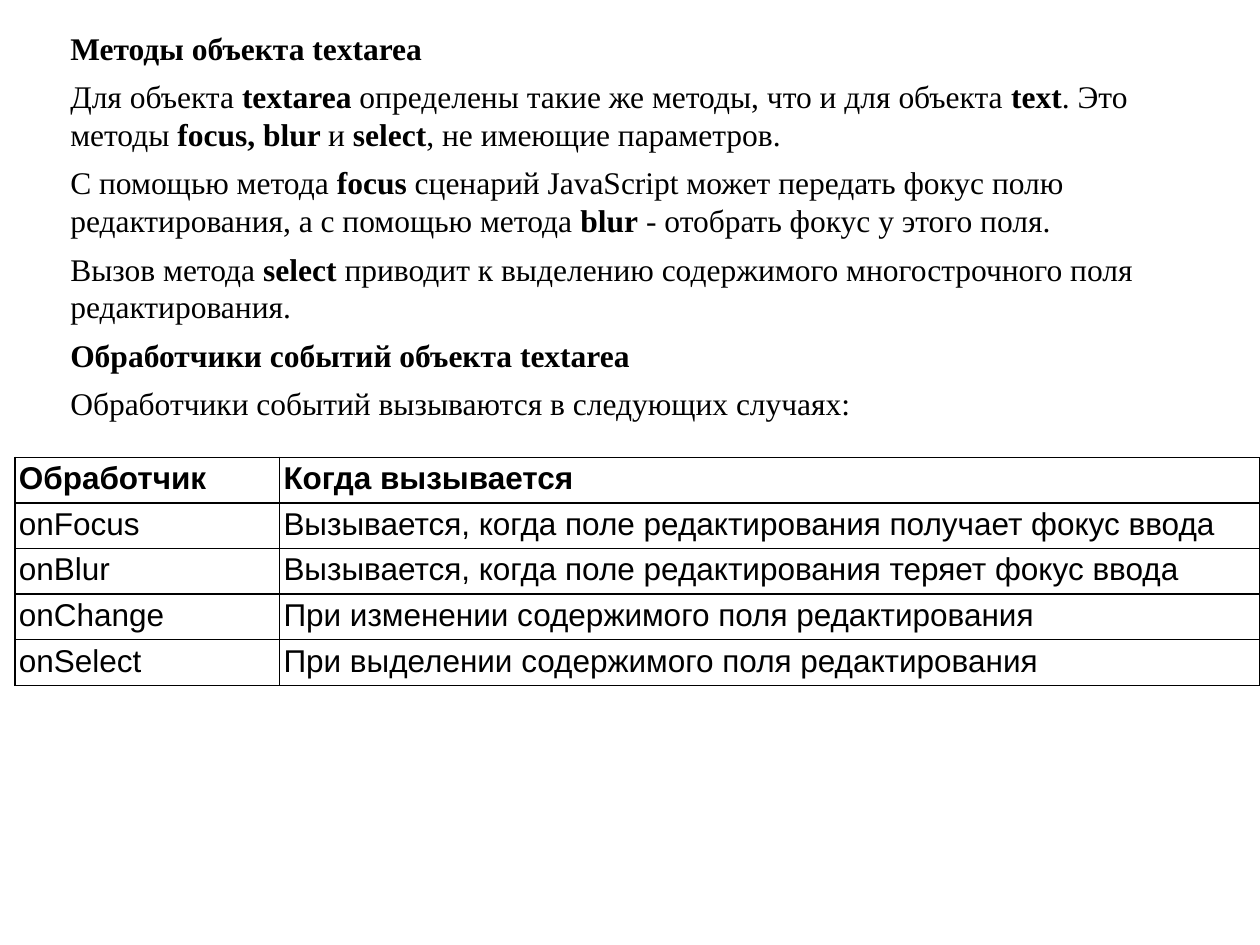
from lxml import etree
from pptx import Presentation
from pptx.dml.color import RGBColor
from pptx.enum.text import MSO_ANCHOR
from pptx.oxml.ns import qn
from pptx.util import Inches, Pt

BLACK = "000000"


def add_runs(p, text, font):
    """Add text to a paragraph; parts between asterisks are bold."""
    for i, part in enumerate(text.split("*")):
        if part:
            r = p.add_run()
            r.text = part
            r.font.name, r.font.size, r.font.bold = font, Pt(18), i % 2 == 1
            r.font.color.rgb = RGBColor.from_string(BLACK)


def add_borders(cell):
    tcPr = cell._tc.get_or_add_tcPr()
    for i, side in enumerate(("a:lnL", "a:lnR", "a:lnT", "a:lnB")):
        ln = etree.Element(qn(side), w=str(Pt(1)))
        fill = etree.SubElement(ln, qn("a:solidFill"))
        etree.SubElement(fill, qn("a:srgbClr"), val=BLACK)
        tcPr.insert(i, ln)


prs = Presentation()
prs.slide_width, prs.slide_height = Inches(10), Inches(7.5)
s = prs.slides.add_slide(prs.slide_layouts[6])

# Table of event handlers
rows = [
    ("*Обработчик*", "*Когда вызывается*"),
    ("onFocus", "Вызывается, когда поле редактирования получает фокус ввода"),
    ("onBlur", "Вызывается, когда поле редактирования теряет фокус ввода"),
    ("onChange", "При изменении содержимого поля редактирования"),
    ("onSelect", "При выделении содержимого поля редактирования"),
]
table = s.shapes.add_table(len(rows), 2, Inches(0.12), Inches(3.63),
                           Inches(9.88), Inches(1.81)).table
table.first_row = table.horz_banding = False
for column, width in zip(table.columns, (2.1, 7.78)):
    column.width = Inches(width)

cell_format = {f"margin_{side}": Inches(0.03)
               for side in ("left", "right", "top", "bottom")}
for i, row in enumerate(rows):
    for j, text in enumerate(row):
        cell = table.cell(i, j)
        for name, value in cell_format.items():
            setattr(cell, name, value)
        cell.fill.background()
        add_borders(cell)
        add_runs(cell.text_frame.paragraphs[0], text, "Arial")

# Description of the methods
paragraphs = [
    "*Методы объекта textarea*",
    "Для объекта *textarea* определены такие же методы, что и для объекта "
    "*text*. Это методы *focus, blur *и* select*, не имеющие параметров.",
    "С помощью метода *focus* сценарий JavaScript может передать фокус полю "
    "редактирования, а с помощью метода *blur* - отобрать фокус у этого поля.",
    "Вызов метода *select* приводит к выделению содержимого многострочного "
    "поля редактирования.",
    "*Обработчики событий объекта textarea*",
    "Обработчики событий вызываются в следующих случаях:",
]
tf = s.shapes.add_textbox(Inches(0.46), Inches(0.14),
                          Inches(9.04), Inches(3.94)).text_frame
text_format = {"word_wrap": True, "vertical_anchor": MSO_ANCHOR.TOP,
               "margin_top": Inches(0.09)}
for name, value in text_format.items():
    setattr(tf, name, value)
for i, text in enumerate(paragraphs):
    p = tf.add_paragraph() if i else tf.paragraphs[0]
    p.space_before = Pt(6)
    add_runs(p, text, "Times New Roman")

prs.save("out.pptx")
